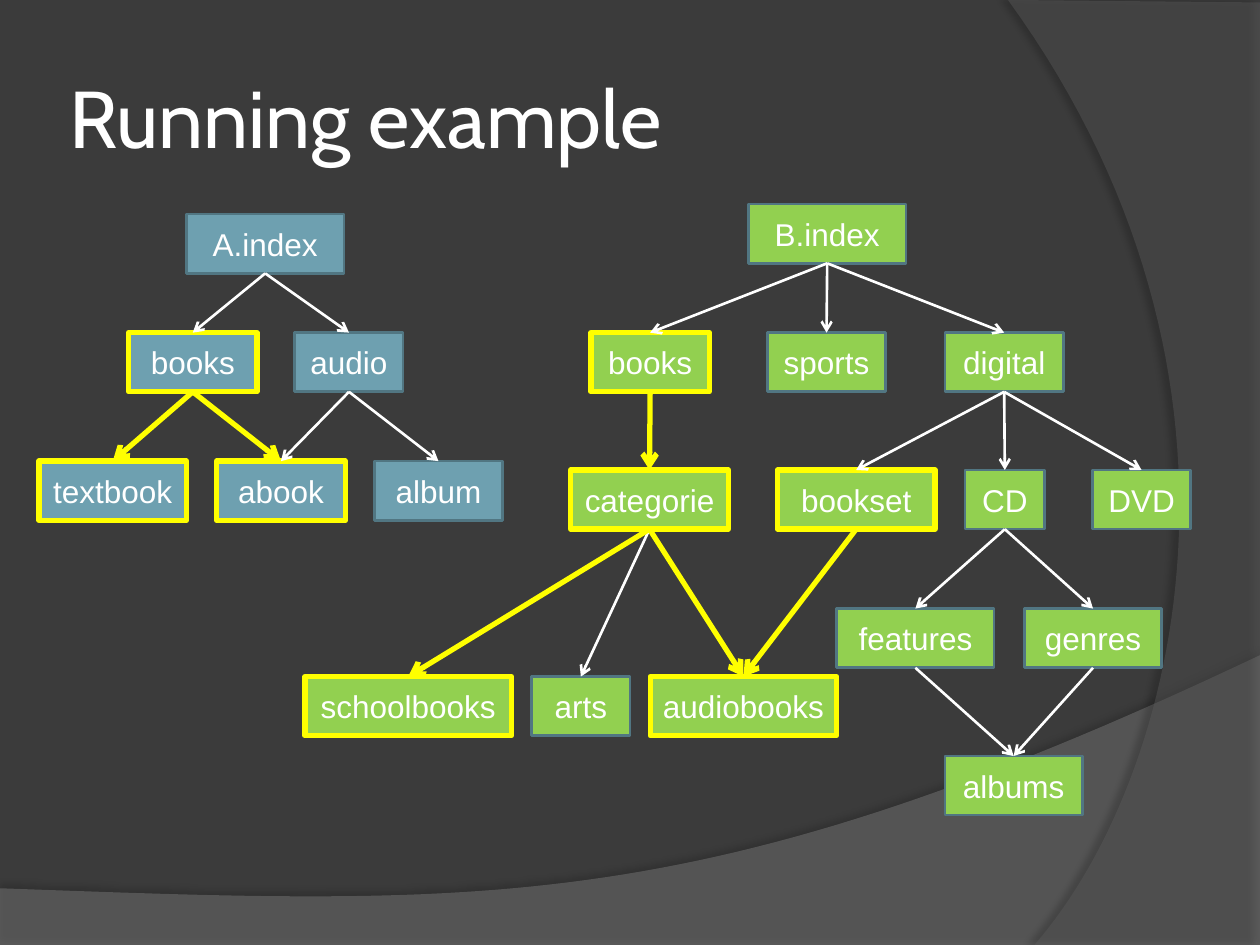
from dataclasses import dataclass

from lxml.etree import SubElement
from pptx import Presentation
from pptx.dml.color import RGBColor
from pptx.enum.shapes import MSO_CONNECTOR, MSO_SHAPE
from pptx.enum.text import MSO_ANCHOR, PP_ALIGN
from pptx.oxml.ns import qn
from pptx.shapes.autoshape import Shape
from pptx.slide import Slide
from pptx.util import Inches, Pt

BACKGROUND = RGBColor(0x3B, 0x3B, 0x3B)
LOWER_SWEEP = RGBColor(0x7F, 0x7F, 0x7F)
RIGHT_SWEEP = RGBColor(0x5E, 0x5E, 0x5E)
WHITE = RGBColor(0xFF, 0xFF, 0xFF)
BLUE = RGBColor(0x6E, 0xA0, 0xB0)
GREEN = RGBColor(0x92, 0xD0, 0x50)
BORDER = RGBColor(0x51, 0x76, 0x82)
YELLOW = RGBColor(0xFF, 0xFF, 0x00)

NODE_HEIGHT = 0.47
CURVE_STEPS = 60
BOTTOM, TOP = 2, 0

Point = tuple[float, float]


@dataclass(frozen=True)
class Sweep:
    corners: list[Point]
    curve: list[Point]
    color: RGBColor
    opacity: int
    shadow_opacity: int
    shadow_distance: float
    shadow_angle: int


@dataclass(frozen=True)
class Node:
    key: str
    label: str
    left: float
    top: float
    width: float
    fill: RGBColor
    matched: bool = False


SWEEPS = [
    Sweep([(0, 7.05), (0, 7.51), (10, 7.51), (10, 5.2)],
          [(10, 5.2), (5.59, 7.29), (3.91, 7.19), (0, 7.05)],
          LOWER_SWEEP, 45, 35, 3.5, 270),
    Sweep([(10, 0.02), (10, 7.5), (8.21, 7.5)],
          [(8.21, 7.5), (9.35, 6.19), (10.18, 3), (8, 0)],
          RIGHT_SWEEP, 40, 45, 4, 180),
]

NODES = [
    Node("A.index", "A.index", 1.48, 1.7, 1.25, BLUE),
    Node("A.books", "books", 1.02, 2.64, 1.02, BLUE, True),
    Node("audio", "audio", 2.34, 2.64, 0.86, BLUE),
    Node("textbook", "textbook", 0.31, 3.66, 1.17, BLUE, True),
    Node("abook", "abook", 1.72, 3.66, 1.02, BLUE, True),
    Node("album", "album", 2.97, 3.66, 1.02, BLUE),
    Node("B.index", "B.index", 5.94, 1.62, 1.25, GREEN),
    Node("B.books", "books", 4.69, 2.64, 0.94, GREEN, True),
    Node("sports", "sports", 6.09, 2.64, 0.94, GREEN),
    Node("digital", "digital", 7.5, 2.64, 0.94, GREEN),
    Node("categorie", "categorie", 4.53, 3.73, 1.25, GREEN, True),
    Node("bookset", "bookset", 6.17, 3.73, 1.25, GREEN, True),
    Node("CD", "CD", 7.66, 3.73, 0.63, GREEN),
    Node("DVD", "DVD", 8.67, 3.73, 0.78, GREEN),
    Node("schoolbooks", "schoolbooks", 2.42, 5.37, 1.64, GREEN, True),
    Node("arts", "arts", 4.22, 5.37, 0.78, GREEN),
    Node("audiobooks", "audiobooks", 5.16, 5.37, 1.48, GREEN, True),
    Node("features", "features", 6.64, 4.83, 1.25, GREEN),
    Node("genres", "genres", 8.13, 4.83, 1.09, GREEN),
    Node("albums", "albums", 7.5, 6, 1.09, GREEN),
]

CHILDREN = {
    "A.index": ["A.books", "audio"],
    "A.books": ["textbook", "abook"],
    "audio": ["album", "abook"],
    "B.index": ["B.books", "sports", "digital"],
    "B.books": ["categorie"],
    "categorie": ["arts", "schoolbooks", "audiobooks"],
    "bookset": ["audiobooks"],
    "digital": ["bookset", "CD", "DVD"],
    "CD": ["features", "genres"],
    "features": ["albums"],
    "genres": ["albums"],
}


def bezier_point(curve: list[Point], t: float) -> Point:
    weights = ((1 - t) ** 3, 3 * t * (1 - t) ** 2, 3 * t ** 2 * (1 - t), t ** 3)
    x, y = (sum(w * p[axis] for w, p in zip(weights, curve)) for axis in (0, 1))
    return x, y


def set_opacity(color_element, percent: int) -> None:
    SubElement(color_element, qn("a:alpha"), val=str(percent * 1000))


def draw_sweep(slide: Slide, sweep: Sweep) -> None:
    curve = [bezier_point(sweep.curve, i / CURVE_STEPS) for i in range(1, CURVE_STEPS + 1)]
    outline = [(Inches(x), Inches(y)) for x, y in sweep.corners + curve]
    builder = slide.shapes.build_freeform(*outline[0])
    builder.add_line_segments(outline[1:], close=True)
    area = builder.convert_to_shape()
    area.fill.solid()
    area.fill.fore_color.rgb = sweep.color
    area.line.fill.background()
    area.shadow.inherit = False
    properties = area.element.spPr
    set_opacity(properties.find(qn("a:solidFill"))[0], sweep.opacity)
    shadow = SubElement(
        properties.find(qn("a:effectLst")), qn("a:outerShdw"),
        blurRad=str(Pt(4)), dist=str(Pt(sweep.shadow_distance)),
        dir=str(sweep.shadow_angle * 60000), algn="ctr", rotWithShape="0")
    set_opacity(SubElement(shadow, qn("a:srgbClr"), val="000000"), sweep.shadow_opacity)


def format_title(slide: Slide) -> None:
    title = slide.shapes.title
    title.left, title.top = Inches(0.5), Inches(0.3)
    title.width, title.height = Inches(8.17), Inches(1.25)
    frame = title.text_frame
    frame.text = "Running example"
    frame.vertical_anchor = MSO_ANCHOR.MIDDLE
    frame.margin_left = frame.margin_right = Inches(0.05)
    frame.margin_top = frame.margin_bottom = Inches(0.05)
    frame.paragraphs[0].alignment = PP_ALIGN.LEFT
    font = frame.paragraphs[0].runs[0].font
    font.name, font.size, font.color.rgb = "Cabin", Pt(46), WHITE


def draw_node(slide: Slide, node: Node) -> Shape:
    box = slide.shapes.add_shape(
        MSO_SHAPE.RECTANGLE, Inches(node.left), Inches(node.top),
        Inches(node.width), Inches(NODE_HEIGHT))
    box.shadow.inherit = False
    box.fill.solid()
    box.fill.fore_color.rgb = node.fill
    box.line.color.rgb = YELLOW if node.matched else BORDER
    box.line.width = Pt(3 if node.matched else 1.5)
    frame = box.text_frame
    frame.text = node.label
    frame.word_wrap = False
    frame.vertical_anchor = MSO_ANCHOR.MIDDLE
    frame.paragraphs[0].alignment = PP_ALIGN.CENTER
    font = frame.paragraphs[0].runs[0].font
    font.name, font.size, font.color.rgb = "Arial", Pt(18), WHITE
    return box


def draw_arrow(slide: Slide, parent: Shape, child: Shape, matched: bool) -> None:
    arrow = slide.shapes.add_connector(MSO_CONNECTOR.STRAIGHT, 0, 0, 0, 0)
    arrow.begin_connect(parent, BOTTOM)
    arrow.end_connect(child, TOP)
    arrow.line.color.rgb = YELLOW if matched else WHITE
    arrow.line.width = Pt(3 if matched else 1.5)
    properties = arrow.element.spPr
    SubElement(properties.find(qn("a:ln")), qn("a:tailEnd"), type="arrow")
    SubElement(properties, qn("a:effectLst"))


def main() -> None:
    presentation = Presentation()
    presentation.slide_width, presentation.slide_height = Inches(10), Inches(7.5)
    slide = presentation.slides.add_slide(presentation.slide_layouts[5])
    slide.background.fill.solid()
    slide.background.fill.fore_color.rgb = BACKGROUND
    for sweep in SWEEPS:
        draw_sweep(slide, sweep)
    format_title(slide)
    boxes = {node.key: draw_node(slide, node) for node in NODES}
    matched = {node.key for node in NODES if node.matched}
    for parent, children in CHILDREN.items():
        for child in children:
            draw_arrow(slide, boxes[parent], boxes[child], {parent, child} <= matched)
    presentation.save("out.pptx")


if __name__ == "__main__":
    main()
